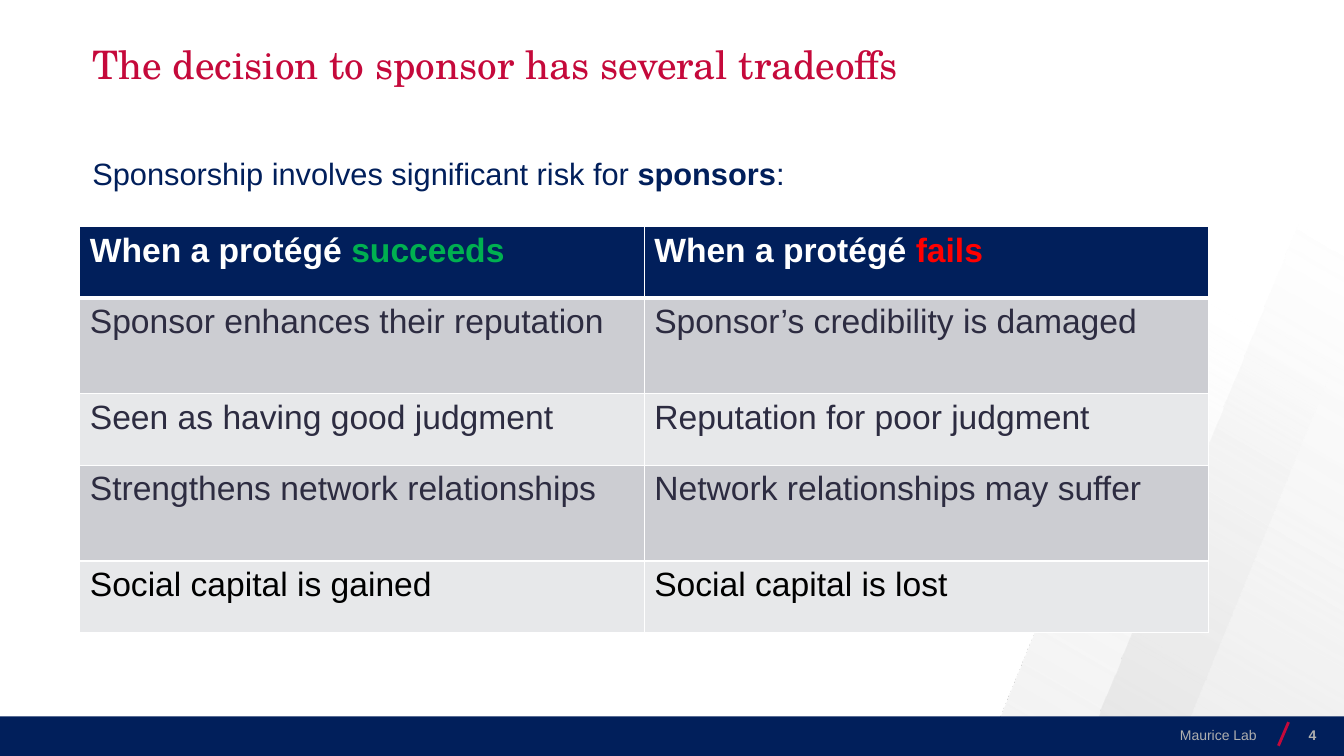
from lxml import etree
from pptx import Presentation, util as u
from pptx.dml.color import RGBColor
from pptx.enum import shapes, text
from pptx.oxml import parse_xml
from pptx.oxml.ns import nsdecls, qn

NAVY, CRIMSON, GRAY, WHITE = "011F5B", "C5093B", "AFAFAF", "FFFFFF"
INK, BLACK, GREEN, RED = "2D2C41", "000000", "00B050", "FF0000"
BANDS = ["CCCDD2", "E7E8EA"]
COLUMNS, ROWS = 160, 90


def color(value):
    return RGBColor.from_string(value)


def write(paragraph, content, font="Arial", size=24, tone=NAVY, bold=False):
    run = paragraph.add_run()
    run.text = content
    run.font.name, run.font.size, run.font.bold = font, u.Pt(size), bold
    run.font.color.rgb = color(tone)


class SlideBuilder:
    """Draws styled elements on the current slide, measured in grid columns and rows."""

    def __init__(self, presentation):
        self.slide = presentation.slides.add_slide(presentation.slide_layouts[6])
        self.unit = presentation.slide_width / COLUMNS

    def lengths(self, *cells):
        return [u.Emu(round(cell * self.unit)) for cell in cells]

    def shape(self, kind, *box):
        shape = self.slide.shapes.add_shape(kind, *self.lengths(*box))
        shape.shadow.inherit = False
        shape.line.fill.background()
        return shape

    def bar(self, *box):
        shape = self.shape(shapes.MSO_SHAPE.RECTANGLE, *box)
        shape.fill.solid()
        shape.fill.fore_color.rgb = color(NAVY)

    def slant(self, *box, tone, start, opacity):
        shape = self.shape(shapes.MSO_SHAPE.PARALLELOGRAM, *box)
        shape.adjustments[0] = 0.52
        shape.rotation = 180
        stops = "".join(
            f'<a:gs pos="{position * 1000}"><a:srgbClr val="{tone}">'
            f'<a:alpha val="{alpha * 1000}"/></a:srgbClr></a:gs>'
            for position, alpha in [(start, 0), (100, opacity)])
        gradient = parse_xml(
            f'<a:gradFill {nsdecls("a")} rotWithShape="1"><a:gsLst>{stops}</a:gsLst>'
            '<a:lin ang="18000000" scaled="0"/></a:gradFill>')
        shape.element.spPr.find(qn("a:prstGeom")).addnext(gradient)

    def line(self, *ends):
        line = self.slide.shapes.add_connector(
            shapes.MSO_CONNECTOR.STRAIGHT, *self.lengths(*ends))
        line.line.color.rgb = color(CRIMSON)
        line.line.width = u.Pt(2)
        etree.SubElement(line.element.spPr, qn("a:effectLst"))

    def label(self, *box, runs, inset=0, anchor=text.MSO_ANCHOR.TOP,
              align=text.PP_ALIGN.LEFT, spacing=1.0, **style):
        frame = self.slide.shapes.add_textbox(*self.lengths(*box)).text_frame
        frame.word_wrap = True
        frame.vertical_anchor = anchor
        frame.margin_left, frame.margin_right = self.lengths(inset, inset)
        paragraph = frame.paragraphs[0]
        paragraph.alignment, paragraph.line_spacing = align, spacing
        for content, bold in runs:
            write(paragraph, content, bold=bold, **style)

    def footer(self, left, width, content, bold):
        self.label(left, 85.1, width, 4.8, runs=[(content, bold)], inset=1.2,
                   anchor=text.MSO_ANCHOR.MIDDLE, align=text.PP_ALIGN.RIGHT,
                   size=10, tone=GRAY)

    def border(self, cell, bottom):
        properties = cell._tc.get_or_add_tcPr()
        widths = {"lnL": 1, "lnR": 1, "lnT": 1, "lnB": bottom}
        for index, (side, width) in enumerate(widths.items()):
            properties.insert(index, parse_xml(
                f'<a:{side} {nsdecls("a")} w="{u.Pt(width)}"><a:solidFill>'
                f'<a:srgbClr val="{WHITE}"/></a:solidFill></a:{side}>'))

    def table(self, left, top, column_width, heights, rows):
        box = self.lengths(left, top, column_width * len(rows[0]), sum(heights))
        table = self.slide.shapes.add_table(len(rows), len(rows[0]), *box).table
        for column in table.columns:
            column.width, = self.lengths(column_width)
        for row_index, (height, row) in enumerate(zip(heights, rows)):
            table.rows[row_index].height, = self.lengths(height)
            header = row_index == 0
            for column_index, runs in enumerate(row):
                cell = table.cell(row_index, column_index)
                cell.fill.solid()
                cell.fill.fore_color.rgb = color(
                    NAVY if header else BANDS[(row_index - 1) % 2])
                self.border(cell, 3 if header else 1)
                for content, tone in runs:
                    write(cell.text_frame.paragraphs[0], content, tone=tone, bold=header)


def main():
    presentation = Presentation()
    presentation.slide_width, presentation.slide_height = u.Inches(13.33), u.Inches(7.5)
    builder = SlideBuilder(presentation)
    builder.slant(117.1, 30.2, 47, 60.1, tone="F2F2F2", start=20, opacity=100)
    builder.slant(128.6, -0.4, 70.9, 90.8, tone="D9D9D9", start=40, opacity=50)
    builder.bar(0, 85.3, COLUMNS, 5)
    builder.line(152.2, 88.8, 153.4, 86)

    builder.label(11, 4.8, 138, 6.4, spacing=0.9, font="TeX Gyre Schola", size=28,
                  tone=CRIMSON,
                  runs=[("The decision to sponsor has several tradeoffs", False)])
    builder.label(11, 17.2, 138, 57.1, spacing=1.13, size=22,
                  runs=[("Sponsorship involves significant risk for ", False),
                        ("sponsors", True), (":", False)])
    builder.footer(96.8, 54, "Maurice Lab", False)
    builder.footer(151.4, 6.5, "4", True)

    outcomes = [
        ("Sponsor enhances their reputation", "Sponsor’s credibility is damaged", INK),
        ("Seen as having good judgment", "Reputation for poor judgment", INK),
        ("Strengthens network relationships", "Network relationships may suffer", INK),
        ("Social capital is gained", "Social capital is lost", BLACK),
    ]
    headings = [[("When a protégé ", WHITE), (outcome, tone)]
                for outcome, tone in [("succeeds", GREEN), ("fails", RED)]]
    body = [[[(success, tone)], [(failure, tone)]] for success, failure, tone in outcomes]
    short, tall = 8.5, 11.4
    builder.table(9.5, 27, 67.2, [short, tall, short, tall, short], [headings] + body)
    presentation.save("out.pptx")


if __name__ == "__main__":
    main()
